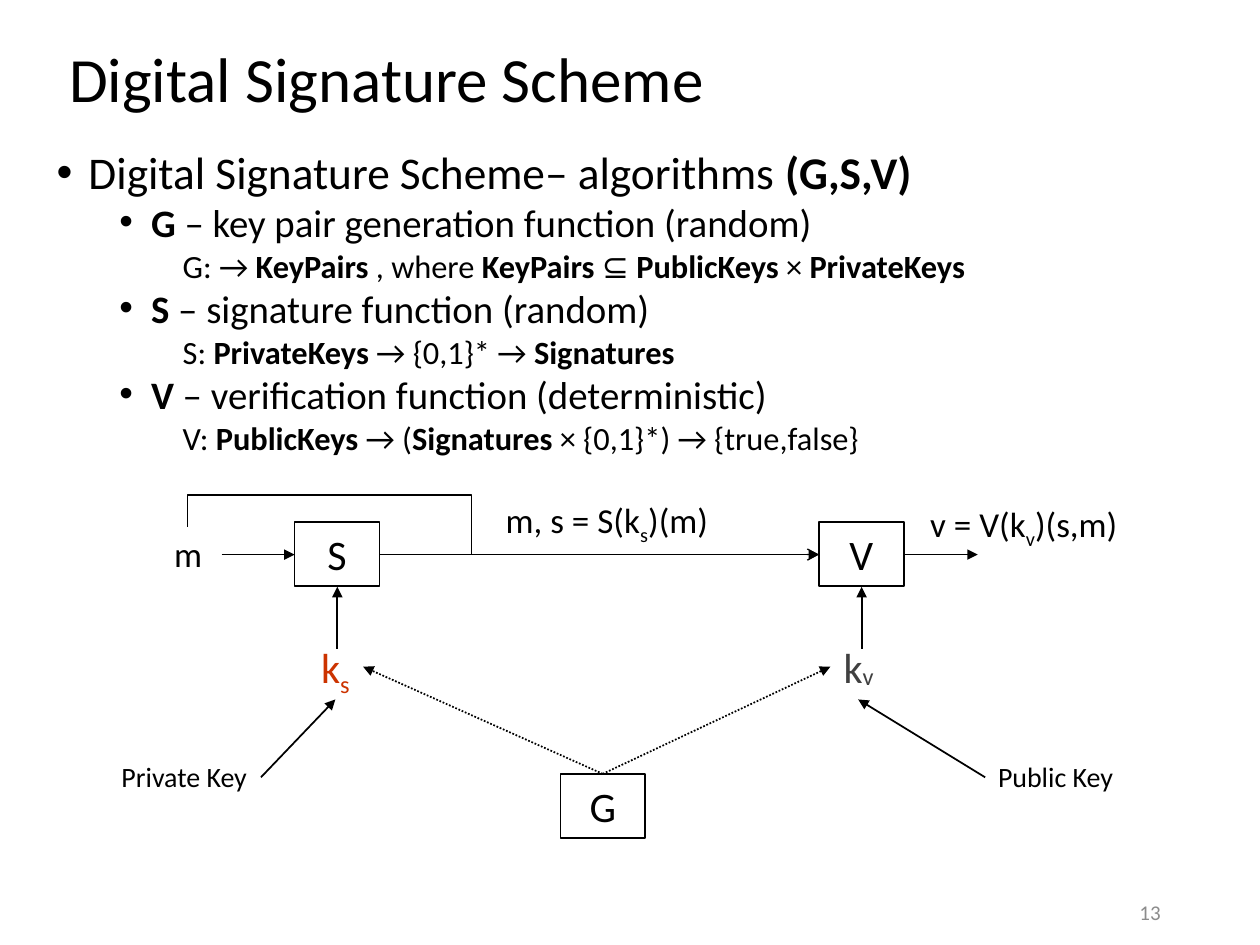
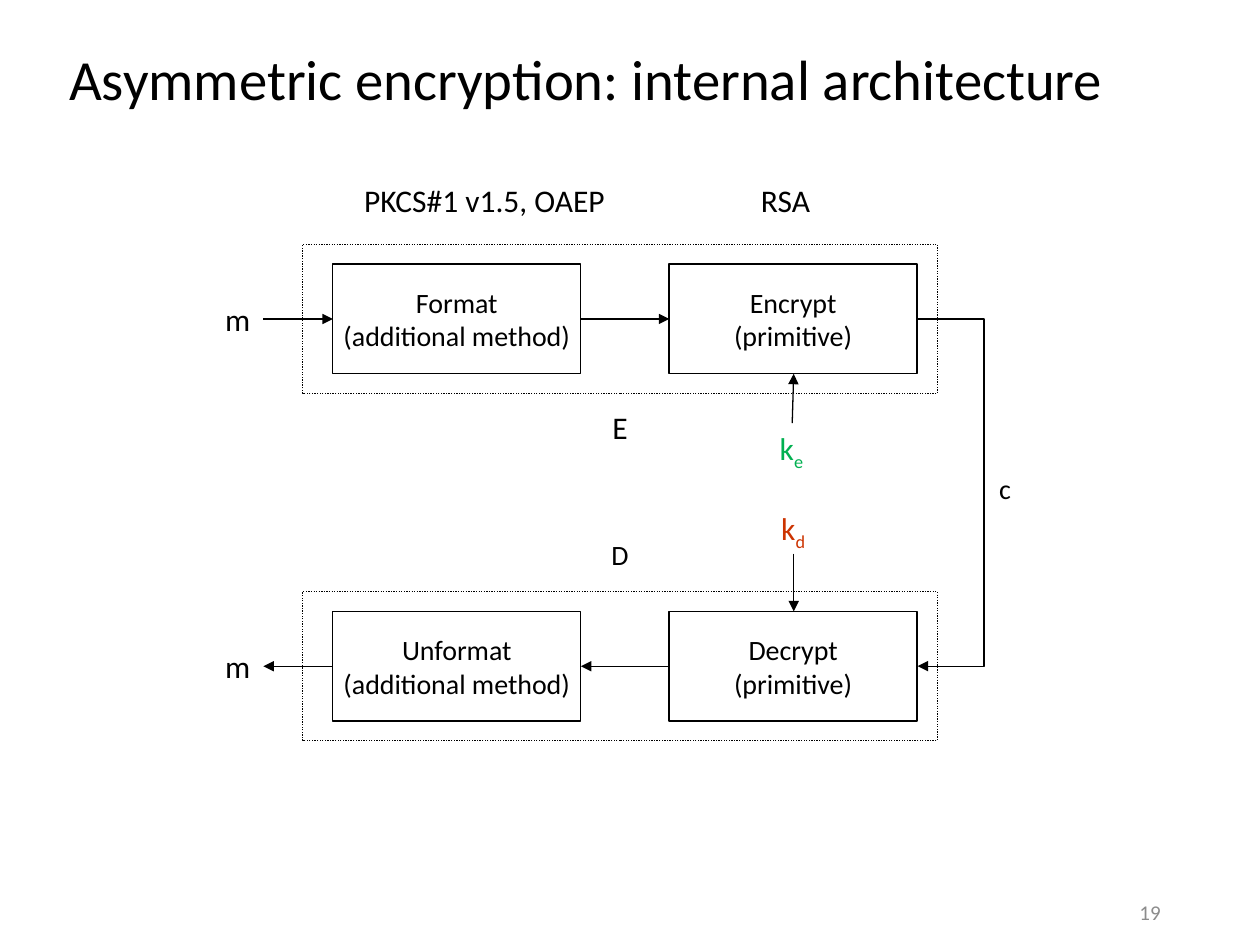
from dataclasses import dataclass

from pptx import Presentation
from pptx.dml.color import RGBColor as RGB
from pptx.enum.dml import MSO_LINE as Dash
from pptx.enum.shapes import MSO_CONNECTOR as Link, MSO_SHAPE as Shape
from pptx.enum.text import MSO_ANCHOR as Anchor, MSO_AUTO_SIZE as AutoSize, PP_ALIGN as Align
from pptx.oxml.ns import qn
from pptx.util import Cm, Pt
from lxml.etree import SubElement


@dataclass(frozen=True)
class Theme:
    font: str = "Calibri"
    ink: RGB = RGB(0, 0, 0)
    page_grey: RGB = RGB(0x8C, 0x8C, 0x8C)
    private: RGB = RGB(0xCC, 0x33, 0x00)
    verify: RGB = RGB(0x40, 0x40, 0x40)
    public: RGB = RGB(0x00, 0xB0, 0x50)
    title: float = 36
    long_title: float = 32.4
    levels: tuple = (25.9, 22.2, 18.5)
    level_margins: tuple = (0.64, 1.9, 3.18)
    symbol: float = 24
    formula: float = 20
    label: float = 18
    note: float = 16
    page: float = 12


class Deck:
    """Holds the style and the slide being drawn."""

    def __init__(self, theme):
        self.theme = theme
        self.show = Presentation()
        self.show.slide_width, self.show.slide_height = Cm(25.4), Cm(19.05)
        self.slide = None
        self.line_width = 1

    def new_slide(self, layout, title, size, page, line_width):
        self.slide = self.show.slides.add_slide(self.show.slide_layouts[layout])
        self.line_width = line_width
        heading = self.slide.shapes.title
        self.place(heading, 1.14, 0.74, 23.11, 1.83)
        self.set_text(heading, [title], size, align=Align.LEFT, anchor=Anchor.MIDDLE)
        heading.text_frame.paragraphs[0].line_spacing = 0.9
        self.label(page, 17.93, 18.11, 5.72, 0.56, self.theme.page,
                   color=self.theme.page_grey, align=Align.RIGHT,
                   anchor=Anchor.MIDDLE, wrap=True)

    def place(self, shape, left, top, width, height):
        shape.left, shape.top = Cm(left), Cm(top)
        shape.width, shape.height = Cm(width), Cm(height)

    def style(self, paragraph, size, color):
        for holder in (paragraph, *paragraph.runs):
            holder.font.name = self.theme.font
            holder.font.size = Pt(size)
            holder.font.color.rgb = color

    def fill_paragraph(self, paragraph, text, size, color, drop=-25):
        """Text between ** is bold, text between ~ is lowered."""
        for i, weighted in enumerate(text.split("**")):
            for j, part in enumerate(weighted.split("~")):
                if part:
                    run = paragraph.add_run()
                    run.text = part
                    run.font.bold = i % 2 == 1
                    if j % 2:
                        run.font._element.set("baseline", str(drop * 1000))
        self.style(paragraph, size, color)

    def set_text(self, shape, lines, size, color=None, align=Align.CENTER,
                 anchor=Anchor.TOP, wrap=True, drop=-25):
        frame = shape.text_frame
        frame.word_wrap, frame.auto_size = wrap, AutoSize.NONE
        frame.vertical_anchor = anchor
        for i, line in enumerate(lines):
            paragraph = frame.add_paragraph() if i else frame.paragraphs[0]
            paragraph.alignment = align
            self.fill_paragraph(paragraph, line, size, color or self.theme.ink, drop)

    def outline(self, items, left, top, width, height):
        body = self.slide.placeholders[1]
        self.place(body, left, top, width, height)
        frame = body.text_frame
        frame.auto_size = AutoSize.NONE
        for i, (level, text) in enumerate(items):
            paragraph = frame.add_paragraph() if i else frame.paragraphs[0]
            paragraph.level = level
            paragraph.line_spacing = 0.8
            paragraph.space_before = Pt(5 if level else 10)
            props = paragraph._p.get_or_add_pPr()
            props.set("marL", str(Cm(self.theme.level_margins[level])))
            props.set("indent", str(-Cm(0.64)))
            if level < 2:
                SubElement(props, qn("a:buChar")).set("char", "•")
            else:
                SubElement(props, qn("a:buNone"))
            self.fill_paragraph(paragraph, text, self.theme.levels[level], self.theme.ink)

    def label(self, text, left, top, width, height, size, wrap=False, **options):
        box = self.slide.shapes.add_textbox(Cm(left), Cm(top), Cm(width), Cm(height))
        self.set_text(box, [text], size, wrap=wrap, **options)

    def box(self, lines, left, top, width, height, size=None, dotted=False):
        box = self.slide.shapes.add_shape(
            Shape.RECTANGLE, Cm(left), Cm(top), Cm(width), Cm(height))
        box.shadow.inherit = False
        box.fill.background()
        self.stroke(box.line, self.line_width, dotted)
        if lines:
            self.set_text(box, lines, size, anchor=Anchor.MIDDLE, wrap=False)

    def stroke(self, line, width, dotted=False):
        line.color.rgb = self.theme.ink
        line.width = Pt(width)
        if dotted:
            line.dash_style = Dash.ROUND_DOT

    def connect(self, kind, start, end, width, dotted, head):
        link = self.slide.shapes.add_connector(
            kind, *(Cm(value) for value in (*start, *end)))
        self.stroke(link.line, width, dotted)
        SubElement(link.line._get_or_add_ln(), qn("a:tailEnd")).set("type", head)
        SubElement(link._element.spPr, qn("a:effectLst"))
        return link

    def arrow(self, start, end, dotted=False):
        self.connect(Link.STRAIGHT, start, end, self.line_width, dotted, "triangle")

    def elbow(self, start, end, bends, head="triangle", turned=False):
        """Bends are fractions of the run; a turned elbow leaves upwards."""
        (x1, y1), (x2, y2) = start, end
        if turned:
            mid_x, mid_y = (x1 + x2) / 2, (y1 + y2) / 2
            half_w, half_h = (y2 - y1) / 2, (x2 - x1) / 2
            start = mid_x - half_w, mid_y - half_h
            end = mid_x + half_w, mid_y + half_h
        link = self.connect(Link.ELBOW, start, end, 0.75, False, head)
        props = link._element.spPr
        if turned:
            xfrm = props.find(qn("a:xfrm"))
            xfrm.set("rot", str(270 * 60000))
            xfrm.set("flipH", "1")
        geometry = props.find(qn("a:prstGeom"))
        geometry.set("prst", f"bentConnector{len(bends) + 2}")
        guides = geometry.find(qn("a:avLst"))
        for i, bend in enumerate(bends, 1):
            guide = SubElement(guides, qn("a:gd"))
            guide.set("name", f"adj{i}")
            guide.set("fmla", f"val {round(bend * 100000)}")


def signature_scheme(deck):
    theme = deck.theme
    deck.new_slide(1, "Digital Signature Scheme", theme.title, "13", line_width=1)
    deck.outline([
        (0, "Digital Signature Scheme– algorithms **(G,S,V)**"),
        (1, "**G **– key pair generation function (random)"),
        (2, "G: → **KeyPairs** , where **KeyPairs** ⊆ **PublicKeys **× **PrivateKeys**"),
        (1, "**S** – signature function (random)"),
        (2, "S: **PrivateKeys **→ {0,1}* → **Signatures**"),
        (1, "**V** – verification function (deterministic)"),
        (2, "V: **PublicKeys **→ (**Signatures **× {0,1}*) → {true,false}"),
    ], 0.89, 3, 23.24, 6.55)

    # Functions
    for name, left, top in (("S", 5.94, 10.52), ("V", 16.51, 10.52), ("G", 11.3, 15.6)):
        deck.box([name], left, top, 1.71, 1.3, theme.symbol)

    # Message flow
    flow_y = 11.18
    for start, end in ((4.47, 5.94), (7.65, 16.51), (18.22, 19.71)):
        deck.arrow((start, flow_y), (end, flow_y))
    deck.elbow((3.78, 10.62), (16.51, flow_y), (-1.14, 0.45), "arrow", turned=True)
    for text, left, top, width in (("m", 3.25, 10.62, 1.09),
                                   ("v = V(k~v~)(s,m)", 18.47, 10.01, 4.34),
                                   ("m, s = S(k~s~)(m)", 9.91, 9.93, 4.65)):
        deck.label(text, left, top, width, 1.12, theme.formula)

    # Keys, made by G and used by S and V
    deck.label("k~s~", 6.2, 12.8, 1.12, 1.3, theme.symbol, color=theme.private)
    deck.label("k~v~", 16.74, 12.8, 1.14, 1.3, theme.symbol, color=theme.verify, drop=-6)
    for key_x, inner_x in ((6.8, 7.32), (17.37, 16.74)):
        deck.arrow((key_x, 13.08), (key_x, 11.83))
        deck.arrow((12.15, 15.6), (inner_x, 13.44), dotted=True)
    for text, left, width, start_x, key_x in (("Private Key", 2.18, 3.07, 5.26, 6.76),
                                              ("Public Key", 19.86, 2.84, 19.86, 17.3)):
        deck.label(text, left, 15.19, width, 0.94, theme.note)
        deck.arrow((start_x, 15.67), (key_x, 14.1))


def encryption_architecture(deck):
    theme = deck.theme
    deck.new_slide(5, "Asymmetric encryption: internal architecture",
                   theme.long_title, "19", line_width=0.75)
    frame_x, frame_w = 6.1, 12.8
    method_x, primitive_x, block_w, block_h = 6.71, 13.49, 5, 2.21
    method_end, primitive_end = method_x + block_w, primitive_x + block_w
    encrypt_y, decrypt_y = 6.43, 13.43

    # Encryption and decryption rows
    for middle, method, primitive in ((encrypt_y, "Format", "Encrypt"),
                                      (decrypt_y, "Unformat", "Decrypt")):
        top = middle - block_h / 2
        deck.box([], frame_x, middle - 1.5, frame_w, 3, dotted=True)
        deck.box([method, "(additional method)"], method_x, top, block_w, block_h, theme.note)
        deck.box([primitive, "(primitive)"], primitive_x, top, block_w, block_h, theme.note)
        deck.label("m", 4.29, top, 0.99, block_h, theme.label,
                   align=Align.LEFT, anchor=Anchor.MIDDLE)
        for ends in ((5.31, method_x), (method_end, primitive_x)):
            start, end = ends if middle == encrypt_y else ends[::-1]
            deck.arrow((start, middle), (end, middle))

    # Ciphertext
    run = 0.01
    deck.elbow((primitive_end, encrypt_y), (primitive_end + run, decrypt_y),
               [(19.84 - primitive_end) / run])
    deck.label("c", 19.89, 8.74, 0.99, block_h, theme.note,
               align=Align.LEFT, anchor=Anchor.MIDDLE)

    # Keys
    deck.label("k~e~", primitive_x, 8.53, 4.93, 1.04, theme.label, wrap=True, color=theme.public)
    deck.label("k~d~", primitive_x, 10.13, 5, 1.04, theme.label, wrap=True, color=theme.private)
    deck.arrow((15.97, 8.53), (16, encrypt_y + block_h / 2))
    deck.arrow((16, 11.16), (16, decrypt_y - block_h / 2))

    # Scheme names
    deck.label("PKCS#1 v1.5, OAEP", 7.09, 3.53, 5.41, 1.02, theme.label, align=Align.LEFT)
    deck.label("RSA", 15.09, 3.53, 1.52, 1.02, theme.label, align=Align.LEFT)
    deck.label("E", frame_x, 8.1, frame_w, 1.02, theme.label, wrap=True)
    deck.label("D", frame_x, 10.72, frame_w, 0.94, theme.note, wrap=True)


def main():
    deck = Deck(Theme())
    signature_scheme(deck)
    encryption_architecture(deck)
    deck.show.save("out.pptx")


if __name__ == "__main__":
    main()
